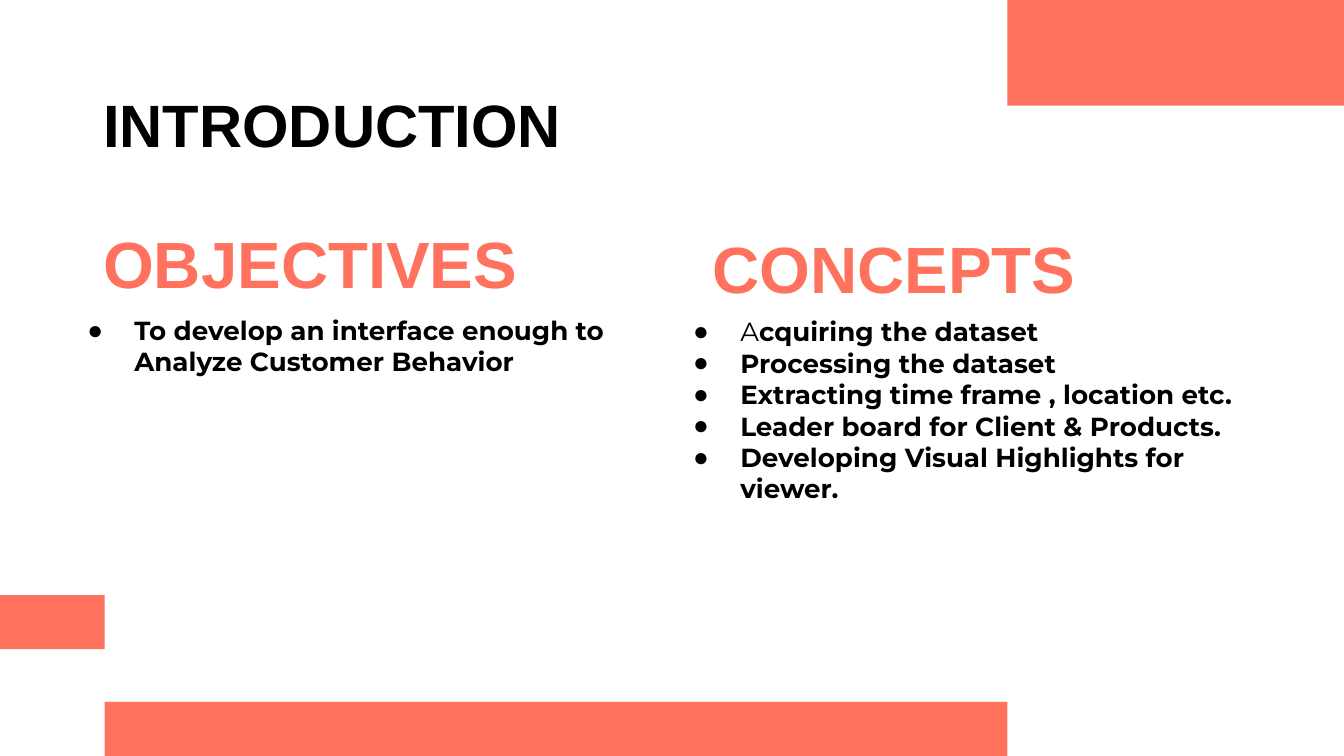
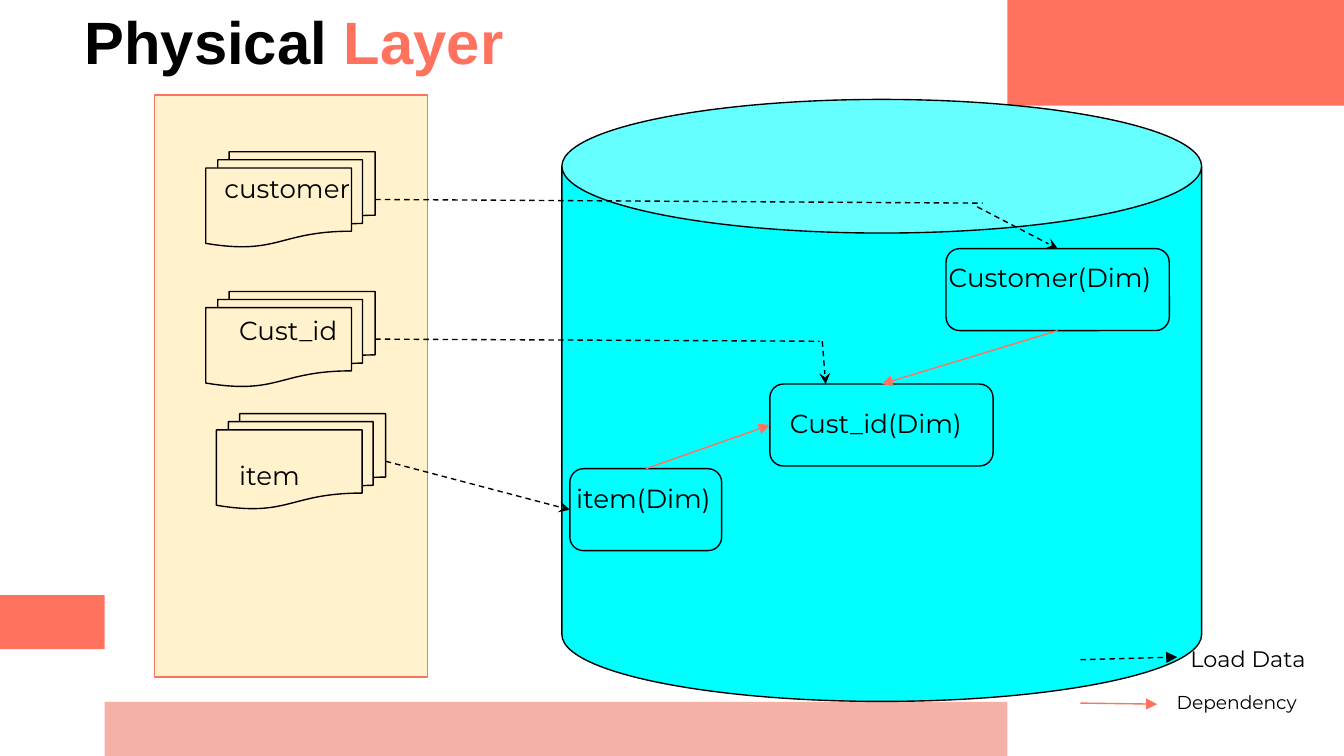
from lxml import etree
from pptx import Presentation
from pptx import util as u
from pptx.dml.color import RGBColor
from pptx.enum import dml, shapes, text
from pptx.oxml import ns

CORAL, PINK, BLACK = "FF725E", "F6B1A7", "000000"
CREAM, CYAN = "FFF2CC", "00FFFF"
HEADING, BODY = "Arial", "Montserrat"
SLIDE_BOX = (0, 0, 25.4, 14.29)
Cm = u.Cm
Shape = shapes.MSO_SHAPE


def color(value):
    return RGBColor.from_string(value)


def inside(box, left, top, width, height):
    return (box[0] + left, box[1] + top, width, height)


def place(shape, box):
    shape.left, shape.top, shape.width, shape.height = (Cm(value) for value in box)


def add_run(paragraph, words, size, font, fill=BLACK, bold=False):
    run = paragraph.add_run()
    run.text = words
    run.font.size, run.font.name, run.font.bold = u.Pt(size), font, bold
    run.font.color.rgb = color(fill)


def set_frame(shape, wrap=True, side=0.25, vertical=0.25):
    frame = shape.text_frame
    frame.auto_size = text.MSO_AUTO_SIZE.NONE
    frame.word_wrap = wrap
    frame.vertical_anchor = text.MSO_ANCHOR.TOP
    frame.margin_left = frame.margin_right = Cm(side)
    frame.margin_top = frame.margin_bottom = Cm(vertical)
    return frame


def add_shape(slide, kind, box, fill=None, line=None):
    shape = slide.shapes.add_shape(kind, *(Cm(value) for value in box))
    shape.shadow.inherit = False
    if fill:
        shape.fill.solid()
        shape.fill.fore_color.rgb = color(fill)
    else:
        shape.fill.background()
    if line:
        shape.line.color.rgb = color(line)
        shape.line.width = u.Pt(0.75)
    else:
        shape.line.fill.background()
    return shape


def add_label(slide, box, words, size=14, font=BODY, fill=BLACK, bold=False, vertical=0.25):
    label = slide.shapes.add_textbox(*(Cm(value) for value in box))
    frame = set_frame(label, wrap=False, vertical=vertical)
    add_run(frame.paragraphs[0], words, size, font, fill, bold)


def add_link(slide, start, end, line=BLACK, dashed=True, arrow=None):
    points = [Cm(value) for value in (*start, *end)]
    link = slide.shapes.add_connector(shapes.MSO_CONNECTOR.STRAIGHT, *points)
    link.line.color.rgb = color(line)
    link.line.width = u.Pt(0.75)
    if dashed:
        link.line.dash_style = dml.MSO_LINE.DASH
    if arrow:
        etree.SubElement(link.line._get_or_add_ln(), ns.qn("a:tailEnd"), type=arrow)
    etree.SubElement(link._element.spPr, ns.qn("a:effectLst"))


def add_bands(slide, box, bottom_fill=CORAL):
    width, height = box[2:]
    bands = [
        ((0, 11.25, 1.98, 1.02), CORAL),
        ((1.98, height - 1.02, 17.06, 1.02), bottom_fill),
        ((width - 6.36, 0, 6.36, 2), CORAL),
    ]
    for band, fill in bands:
        add_shape(slide, Shape.RECTANGLE, inside(box, *band), fill)


def fill_title(slide, box, lines, gap=0):
    title = slide.shapes.title
    place(title, box)
    frame = set_frame(title)
    for index, runs in enumerate(lines):
        paragraph = frame.add_paragraph() if index else frame.paragraphs[0]
        paragraph.alignment = text.PP_ALIGN.LEFT
        paragraph.line_spacing = 0.9
        paragraph.space_before = u.Pt(gap if index else 0)
        for words, size, fill in runs:
            add_run(paragraph, words, size, HEADING, fill, True)


def fill_list(placeholder, box, items, vertical):
    place(placeholder, box)
    frame = set_frame(placeholder, vertical=vertical)
    for index, runs in enumerate(items):
        paragraph = frame.add_paragraph() if index else frame.paragraphs[0]
        properties = paragraph._p.get_or_add_pPr()
        properties.set("marL", str(Cm(1.27)))
        properties.set("indent", str(Cm(-0.89)))
        bullet_color = etree.SubElement(properties, ns.qn("a:buClr"))
        etree.SubElement(bullet_color, ns.qn("a:srgbClr"), val=BLACK)
        etree.SubElement(properties, ns.qn("a:buChar"), char="●")
        paragraph.font.size = u.Pt(14)
        paragraph.space_before = u.Pt(0)
        for words, bold in runs:
            add_run(paragraph, words, 14, BODY, bold=bold)


def add_documents(slide, box):
    add_shape(slide, Shape.RECTANGLE, box, CREAM, CORAL)
    documents = [
        ("customer", 0.97, 1.07, 0.1, 0.13),
        ("Cust_id", 0.97, 3.71, 0.38, 0.18),
        ("item", 1.17, 6.02, 0.18, 0.61),
    ]
    exits = []
    for name, left, top, shift, drop in documents:
        document = inside(box, left, top, 3.2, 1.8)
        add_shape(slide, Shape.FLOWCHART_MULTIDOCUMENT, document, line=BLACK)
        add_label(slide, inside(document, shift, drop, 3.05, 1.12), name)
        exits.append((document[0] + 3.2, document[1] + 0.9))
    return exits


def add_warehouse(slide, box):
    cylinder = add_shape(slide, Shape.CAN, box, CYAN, BLACK)
    cylinder.adjustments[0] = 0.222
    dimensions = [
        ("Customer(Dim)", 7.26, 2.82, 4.22, -0.2, 0),
        ("Cust_id(Dim)", 3.93, 5.38, 4.22, 0.13, 0.2),
        ("item(Dim)", 0.15, 6.98, 2.87, -0.13, 0),
    ]
    nodes = []
    for name, left, top, width, shift, drop in dimensions:
        node = inside(box, left, top, width, 1.55)
        add_shape(slide, Shape.FLOWCHART_ALTERNATE_PROCESS, node, line=BLACK)
        add_label(slide, inside(node, shift, drop, width, 1.12), name)
        nodes.append(node)
    return nodes


def edge(box, across, down):
    return box[0] + box[2] * across, box[1] + box[3] * down


def add_flows(slide, exits, nodes):
    customer, cust_id, item = nodes
    add_link(slide, edge(item, 0.5, 0), edge(cust_id, 0, 0.5), CORAL, False, "triangle")
    add_link(slide, edge(customer, 0.5, 1), edge(cust_id, 0.5, 0), CORAL, False, "triangle")
    add_link(slide, exits[0], (18.57, 3.84))
    add_link(slide, (18.47, 3.91), edge(customer, 0.5, 0), arrow="stealth")
    add_link(slide, exits[1], (15.49, 6.45))
    add_link(slide, (15.54, 6.45), edge(cust_id, 0.25, 0), arrow="stealth")
    add_link(slide, exits[2], edge(item, 0, 0.5), arrow="stealth")


def add_legend(slide, box):
    entries = [
        ("Load Data", 12, BLACK, True, (0, 0.53), (1.83, 0.48), (1.83, 0)),
        ("Dependency", 10, CORAL, False, (0, 1.35), (1.45, 1.37), (1.57, 0.86)),
    ]
    for words, size, line, dashed, start, end, corner in entries:
        points = [(box[0] + left, box[1] + top) for left, top in (start, end)]
        add_link(slide, *points, line, dashed, "triangle")
        add_label(slide, inside(box, *corner, 3, 1), words, size)


def build_introduction(presentation, box):
    slide = presentation.slides.add_slide(presentation.slide_layouts[3])
    add_bands(slide, box)
    lines = [[("INTRODUCTION", 32, BLACK)], [("OBJECTIVES", 35, CORAL)]]
    fill_title(slide, inside(box, 1.7, 1.57, 13.56, 4.1), lines, gap=38)
    objectives = [[("To develop an interface enough to Analyze Customer Behavior", True)]]
    concepts = [
        [("A", False), ("cquiring the dataset", True)],
        [("Processing the dataset", True)],
        [("Extracting time frame , location etc.", True)],
        [("Leader board for Client & Products.", True)],
        [("Developing Visual Highlights for viewer.", True)],
    ]
    left_list, right_list = list(slide.placeholders)[1:3]
    fill_list(left_list, inside(box, 1.02, 5.69, 10.97, 3.89), objectives, 0.25)
    fill_list(right_list, inside(box, 12.47, 5.84, 11.3, 4.45), concepts, 0.13)
    add_label(slide, inside(box, 13.21, 4.19, 11, 1.75), "CONCEPTS", 35, HEADING, CORAL, True, 0.13)


def build_physical_layer(presentation, box):
    slide = presentation.slides.add_slide(presentation.slide_layouts[5])
    add_bands(slide, box, PINK)
    lines = [[("Physical ", 32, BLACK), ("Layer", 32, CORAL)]]
    fill_title(slide, inside(box, 1.35, 0, 16.15, 1.75), lines)
    exits = add_documents(slide, inside(box, 2.92, 1.8, 5.16, 11))
    nodes = add_warehouse(slide, inside(box, 10.62, 1.88, 12.09, 11.38))
    add_flows(slide, exits, nodes)
    add_legend(slide, inside(box, 20.42, 11.94, 4.6, 1.8))


def main():
    presentation = Presentation()
    presentation.slide_width, presentation.slide_height = Cm(SLIDE_BOX[2]), Cm(SLIDE_BOX[3])
    build_introduction(presentation, SLIDE_BOX)
    build_physical_layer(presentation, SLIDE_BOX)
    presentation.save("out.pptx")


if __name__ == "__main__":
    main()
